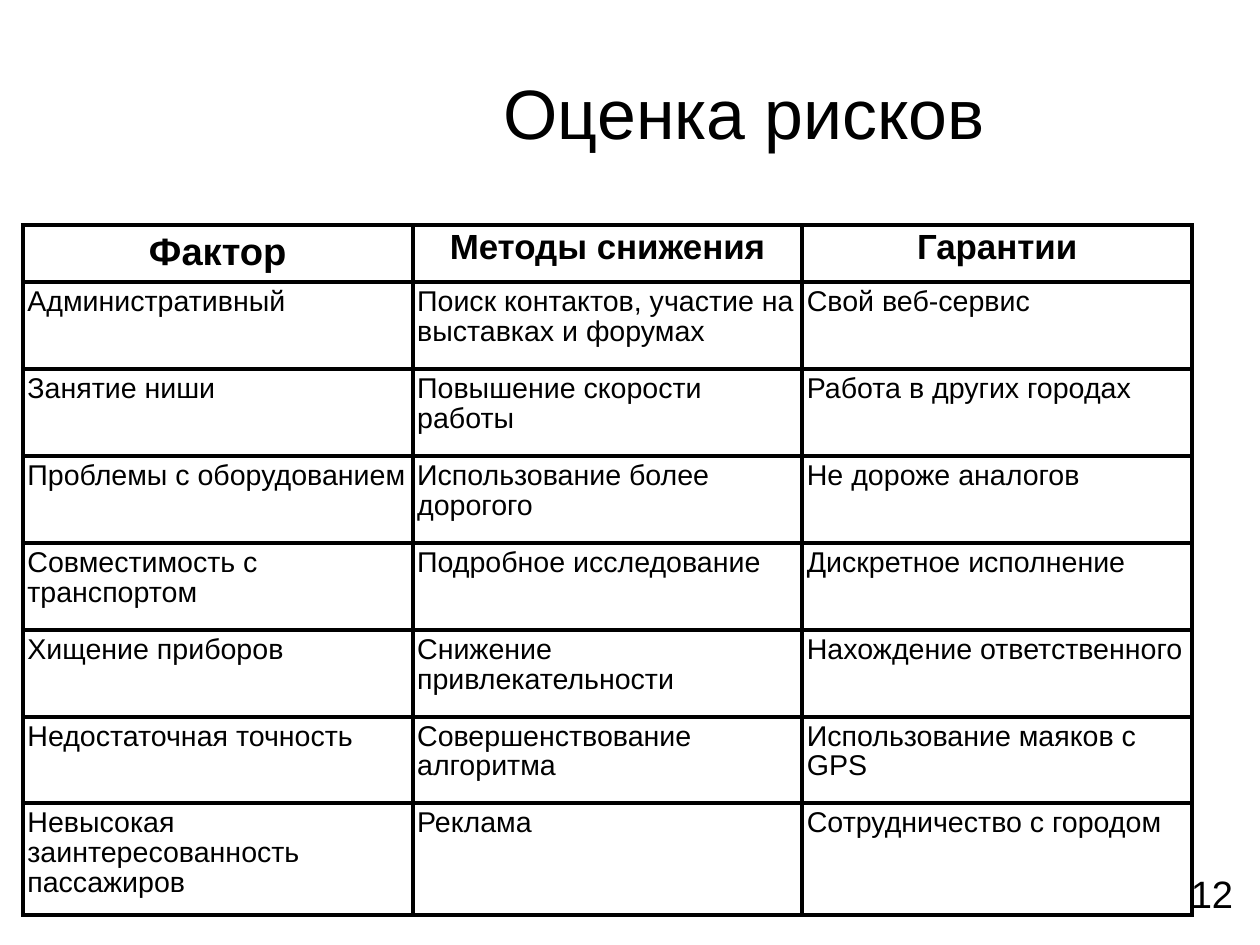
import pptx
import pptx.dml.color
import pptx.enum.text
import pptx.oxml
import pptx.oxml.ns
import pptx.util

INCH = pptx.util.Inches
ALIGN = pptx.enum.text.PP_ALIGN
ANCHOR = pptx.enum.text.MSO_ANCHOR
BLACK = "000000"
BORDER_PT = 2.83
COL_WIDTH = 3.41
ROW_HEIGHTS = [0.48] + [0.76] * 6 + [0.98]

HEADERS = [("Фактор", 24, 1.0), ("Методы снижения", 22, 0.93), ("Гарантии", 22, 0.93)]
RISKS = [
    ("Административный", "Поиск контактов, участие на выставках и форумах", "Свой веб-сервис"),
    ("Занятие ниши", "Повышение скорости работы", "Работа в других городах"),
    ("Проблемы с оборудованием", "Использование более дорогого", "Не дороже аналогов"),
    ("Совместимость с транспортом", "Подробное исследование", "Дискретное исполнение"),
    ("Хищение приборов", "Снижение привлекательности", "Нахождение ответственного"),
    ("Недостаточная точность", "Совершенствование алгоритма", "Использование маяков с GPS"),
    ("Невысокая заинтересованность пассажиров", "Реклама", "Сотрудничество с городом"),
]


def rgb(value):
    return pptx.dml.color.RGBColor.from_string(value)


def write(tf, text, size=18, bold=False, align=ALIGN.LEFT, spacing=0.93, color=BLACK):
    p = tf.paragraphs[0]
    p.alignment = align
    p.line_spacing = spacing
    r = p.add_run()
    r.text = text
    r.font.name = "Arial"
    r.font.size = pptx.util.Pt(size)
    r.font.bold = bold
    r.font.color.rgb = rgb(color)


def set_margins(box, side, top):
    box.margin_left = box.margin_right = INCH(side)
    box.margin_top = box.margin_bottom = INCH(top)


def add_text(slide, text, left, top, width, height, margins, anchor=ANCHOR.TOP, wrap=True, **style):
    tf = slide.shapes.add_textbox(INCH(left), INCH(top), INCH(width), INCH(height)).text_frame
    tf.word_wrap = wrap
    tf.vertical_anchor = anchor
    set_margins(tf, *margins)
    write(tf, text, **style)


def add_borders(cell, color=BLACK):
    tc_pr = cell._tc.get_or_add_tcPr()
    for side in ("lnL", "lnR", "lnT", "lnB"):
        tc_pr.append(pptx.oxml.parse_xml(
            f'<a:{side} {pptx.oxml.ns.nsdecls("a")} w="{pptx.util.Pt(BORDER_PT)}">'
            f'<a:solidFill><a:srgbClr val="{color}"/></a:solidFill></a:{side}>'))


def fill_cell(cell, text, **style):
    set_margins(cell, 0.04, 0.05)
    add_borders(cell)
    cell.fill.background()
    write(cell.text_frame, text, **style)


def add_risk_table(slide, left, top):
    rows, cols = len(ROW_HEIGHTS), len(HEADERS)
    table = slide.shapes.add_table(rows, cols, INCH(left), INCH(top),
                                   INCH(COL_WIDTH * cols), INCH(sum(ROW_HEIGHTS))).table
    table.horz_banding = table.first_row = False
    for column in table.columns:
        column.width = INCH(COL_WIDTH)
    for row, height in zip(table.rows, ROW_HEIGHTS):
        row.height = INCH(height)
    for c, (text, size, spacing) in enumerate(HEADERS):
        fill_cell(table.cell(0, c), text, size=size, bold=True,
                  align=ALIGN.CENTER, spacing=spacing)
    for r, risk in enumerate(RISKS, 1):
        for c, text in enumerate(risk):
            fill_cell(table.cell(r, c), text)


def main():
    prs = pptx.Presentation()
    prs.slide_width, prs.slide_height = pptx.util.Cm(28), pptx.util.Cm(21)
    slide = prs.slides.add_slide(prs.slide_layouts[6])
    add_text(slide, "Оценка рисков", 2.56, 0, 7.91, 2.03, (0, 0),
             anchor=ANCHOR.MIDDLE, size=44, align=ALIGN.CENTER)
    add_text(slide, "12", 10.32, 7.6, 0.57, 0.47, (0.1, 0.05), wrap=False, size=24)
    add_risk_table(slide, 0.2, 1.97)
    prs.save("out.pptx")


if __name__ == "__main__":
    main()
